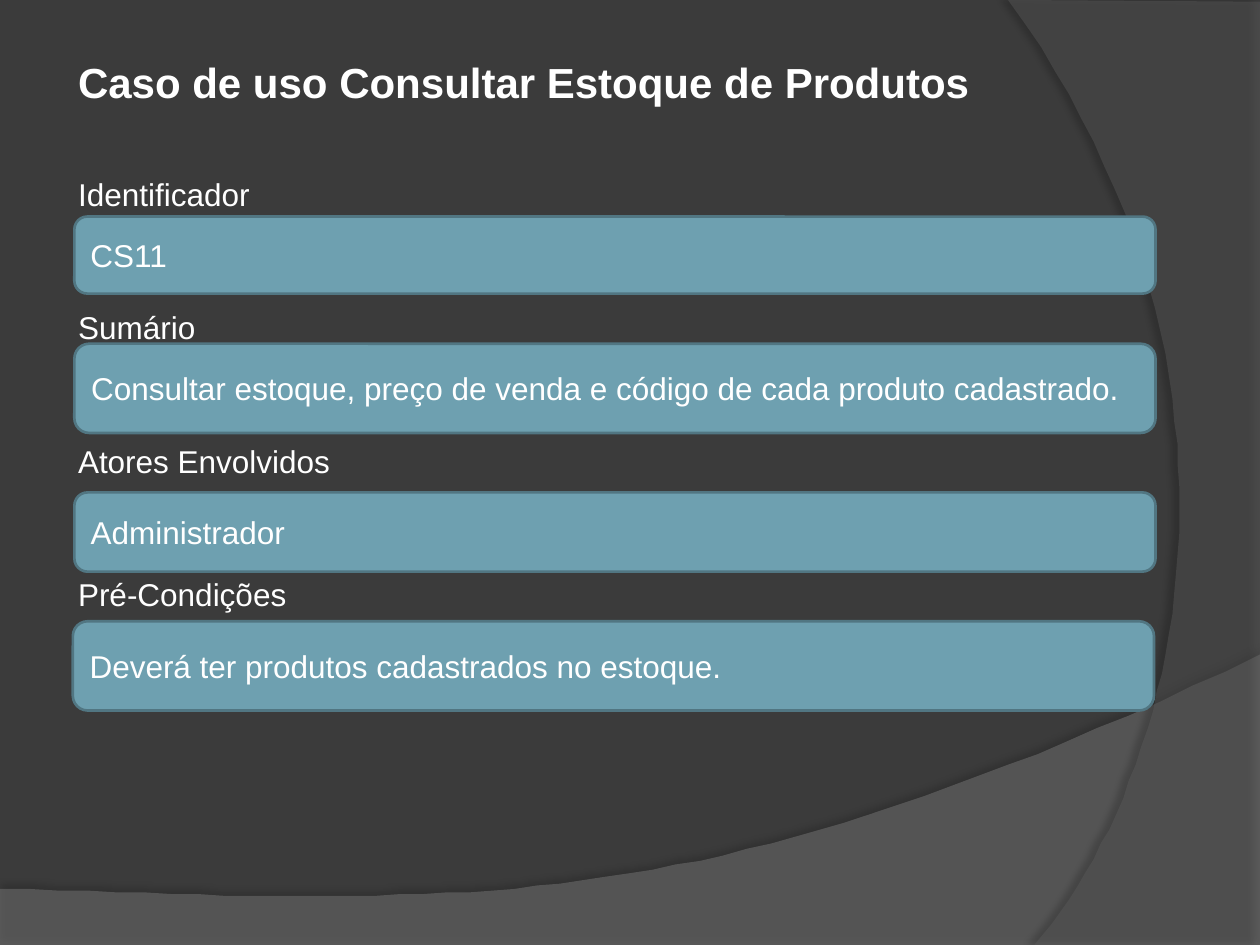
import pptx
import pptx.dml.color
import pptx.enum.shapes
import pptx.enum.text
import pptx.oxml
import pptx.oxml.ns
import pptx.util

Pt = pptx.util.Pt
RGBColor = pptx.dml.color.RGBColor

BACKGROUND = RGBColor(0x3B, 0x3B, 0x3B)
WAVE_GRAY = RGBColor(0x7F, 0x7F, 0x7F)
ARC_GRAY = RGBColor(0x5E, 0x5E, 0x5E)
BOX_FILL = RGBColor(0x6E, 0xA0, 0xB0)
BOX_LINE = RGBColor(0x51, 0x76, 0x82)
WHITE = RGBColor(0xFF, 0xFF, 0xFF)

FONT = "Arial"
WIDTH, HEIGHT = 720, 540
BOX_WIDTH = 617.8

TITLE = "Caso de uso Consultar Estoque de Produtos"
LABELS = ["Identificador", "Sumário", "Atores Envolvidos", "Pré-Condições"]
BOXES = [  # text, left, top, height
    ("CS11", 42.5, 123.8, 44),
    ("Consultar estoque, preço de venda e código de cada produto cadastrado.",
     42.5, 196.4, 51),
    ("Administrador", 42.5, 281.4, 45.3),
    ("Deverá ter produtos cadastrados no estoque.", 41.6, 355, 51),
]


def bezier(p0, p1, p2, p3, steps=48):
    """Points along a cubic curve, both ends included."""
    points = []
    for i in range(steps + 1):
        t = i / steps
        u = 1 - t
        weights = (u**3, 3 * u * u * t, 3 * u * t * t, t**3)
        points.append(tuple(
            sum(w * p[axis] for w, p in zip(weights, (p0, p1, p2, p3)))
            for axis in (0, 1)))
    return points


def add_backdrop(slide, points, color, opacity, shadow_opacity, distance, angle):
    """Translucent outline with a soft shadow."""
    builder = slide.shapes.build_freeform(*points[0], scale=Pt(1))
    builder.add_line_segments(points[1:], close=True)
    s = builder.convert_to_shape()
    s.fill.solid()
    s.fill.fore_color.rgb = color
    s.line.fill.background()
    s.shadow.inherit = False
    ns = pptx.oxml.ns.nsdecls("a")
    rgb = s._element.spPr.find(".//" + pptx.oxml.ns.qn("a:srgbClr"))
    rgb.append(pptx.oxml.parse_xml(f'<a:alpha {ns} val="{opacity * 1000}"/>'))
    effects = s._element.spPr.find(pptx.oxml.ns.qn("a:effectLst"))
    effects.append(pptx.oxml.parse_xml(
        f'<a:outerShdw {ns} blurRad="{Pt(4)}" dist="{Pt(distance)}" '
        f'dir="{angle * 60000}" algn="ctr" rotWithShape="0">'
        f'<a:srgbClr val="000000"><a:alpha val="{shadow_opacity * 1000}"/>'
        '</a:srgbClr></a:outerShdw>'))


def set_text(p, text, size, bold=False):
    p.text = text
    p.alignment = pptx.enum.text.PP_ALIGN.LEFT
    p.font.name = FONT
    p.font.size = Pt(size)
    p.font.bold = bold
    p.font.color.rgb = WHITE


def add_headings(slide):
    """Title and field labels, spaced to leave room for the boxes."""
    s = slide.shapes.add_textbox(Pt(37.5), Pt(29), Pt(646), Pt(330))
    tf = s.text_frame
    tf.word_wrap = True
    set_text(tf.paragraphs[0], TITLE, 24, bold=True)
    for i, label in enumerate(LABELS):
        p = tf.add_paragraph()
        set_text(p, label, 18)
        p.space_before = Pt(54.7 if i else 38.6)


def add_field_box(slide, text, left, top, height):
    s = slide.shapes.add_shape(
        pptx.enum.shapes.MSO_SHAPE.ROUNDED_RECTANGLE,
        Pt(left), Pt(top), Pt(BOX_WIDTH), Pt(height))
    s.shadow.inherit = False
    s.fill.solid()
    s.fill.fore_color.rgb = BOX_FILL
    s.line.color.rgb = BOX_LINE
    s.line.width = Pt(1.5)
    tf = s.text_frame
    tf.word_wrap = True
    tf.vertical_anchor = pptx.enum.text.MSO_ANCHOR.MIDDLE
    set_text(tf.paragraphs[0], text, 18)


def main():
    prs = pptx.Presentation()
    prs.slide_width, prs.slide_height = Pt(WIDTH), Pt(HEIGHT)
    slide = prs.slides.add_slide(prs.slide_layouts[6])
    slide.background.fill.solid()
    slide.background.fill.fore_color.rgb = BACKGROUND

    wave = bezier((WIDTH, 374.4), (402.5, 524.9), (281.5, 517.7), (0, 507.6))
    add_backdrop(slide, [(0, HEIGHT), (WIDTH, HEIGHT)] + wave,
                 WAVE_GRAY, 45, 35, 3.5, 270)
    arc = bezier((591.1, HEIGHT), (673.2, 445.7), (733, 216), (576, 0))
    add_backdrop(slide, [(WIDTH, 1.4), (WIDTH, HEIGHT)] + arc,
                 ARC_GRAY, 40, 45, 4, 180)

    add_headings(slide)
    for box in BOXES:
        add_field_box(slide, *box)
    prs.save("out.pptx")


if __name__ == "__main__":
    main()
